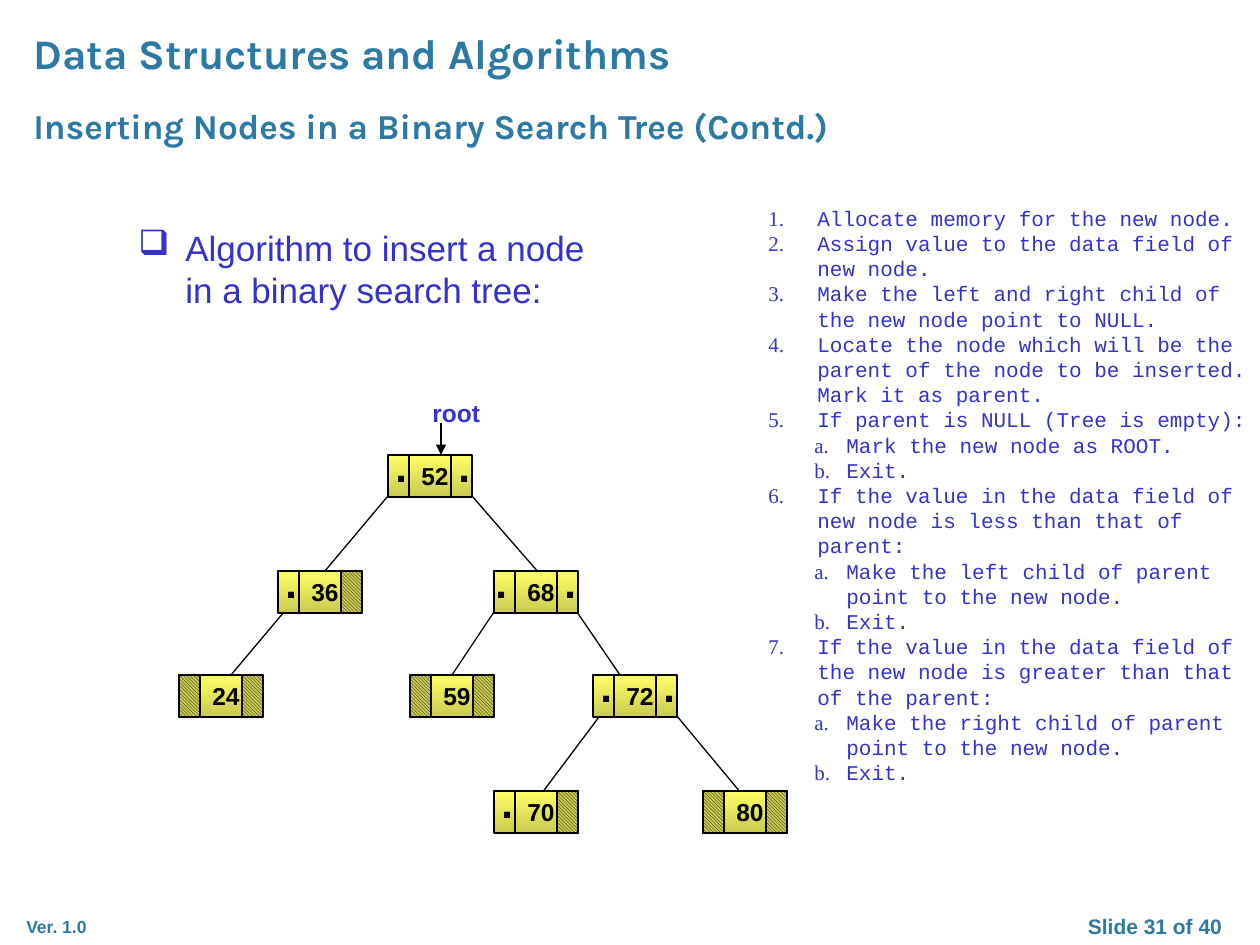
from dataclasses import dataclass
from typing import NamedTuple

from lxml.etree import SubElement
from pptx import Presentation
from pptx.dml.color import RGBColor
from pptx.enum.dml import MSO_PATTERN_TYPE
from pptx.enum.shapes import MSO_CONNECTOR, MSO_SHAPE
from pptx.enum.text import PP_ALIGN
from pptx.oxml.ns import qn
from pptx.util import Emu, Pt

EMU_PER_PIXEL = 914400 / 126


def px(length: float) -> Emu:
    return Emu(round(length * EMU_PER_PIXEL))


@dataclass(frozen=True)
class Theme:
    heading: RGBColor = RGBColor(0x2C, 0x79, 0xA4)
    body: RGBColor = RGBColor(0x33, 0x33, 0xCC)
    ink: RGBColor = RGBColor(0, 0, 0)
    node_top: RGBColor = RGBColor(0xFF, 0xFF, 0x66)
    node_bottom: RGBColor = RGBColor(0xCA, 0xCA, 0x51)
    sans: str = "Arial"
    title_font: str = "Karla"
    code: str = "Courier New"
    number: str = "Times New Roman"
    title_size: int = 24
    subtitle_size: int = 20
    node_size: int = 14
    step_size: int = 12
    version_size: int = 10
    line_width: float = 0.75


THEME = Theme()


class Box(NamedTuple):
    left: int
    top: int
    width: int
    height: int


class Label(NamedTuple):
    text: str
    box: Box
    size: int
    color: RGBColor
    font: str = THEME.sans
    bold: bool = True
    wrap: bool = True
    align: PP_ALIGN = PP_ALIGN.LEFT


class Node(NamedTuple):
    value: str
    left: int
    top: int
    has_left: bool = False
    has_right: bool = False
    left_dot: int = -5


class Line(NamedTuple):
    x1: int
    y1: int
    x2: int
    y2: int


class Step(NamedTuple):
    mark: str
    text: str


NODE_WIDTH, NODE_HEIGHT, POINTER_WIDTH = 84, 42, 21

LABELS = [
    Label("Slide 31 of 40", Box(1050, 907, 210, 38), 12, THEME.heading, align=PP_ALIGN.CENTER),
    Label("Data Structures and Algorithms", Box(21, 21, 1050, 64),
          THEME.title_size, THEME.heading, THEME.title_font),
    Label("Ver. 1.0", Box(14, 910, 100, 34), THEME.version_size, THEME.heading),
    Label("Inserting Nodes in a Binary Search Tree (Contd.)", Box(21, 98, 945, 54),
          THEME.subtitle_size, THEME.heading, THEME.title_font),
    Label("root", Box(420, 392, 105, 42), THEME.node_size, THEME.body),
]
INTRODUCTION = Label("Algorithm to insert a node in a binary search tree:",
                     Box(126, 220, 493, 179), THEME.subtitle_size, THEME.body, bold=False)
STEPS = [
    Step("1.", "Allocate memory for the new node."),
    Step("2.", "Assign value to the data field of new node."),
    Step("3.", "Make the left and right child of the new node point to NULL."),
    Step("4.", "Locate the node which will be the parent of the node to be inserted. "
               "Mark it as parent."),
    Step("5.", "If parent is NULL (Tree is empty):"),
    Step("a.", "Mark the new node as ROOT."),
    Step("b.", "Exit."),
    Step("6.", "If the value in the data field of new node is less than that of parent:"),
    Step("a.", "Make the left child of parent point to the new node."),
    Step("b.", "Exit."),
    Step("7.", "If the value in the data field of the new node is greater than that of the parent:"),
    Step("a.", "Make the right child of parent point to the new node."),
    Step("b.", "Exit."),
]
NODES = [
    Node("52", 388, 455, True, True),
    Node("36", 278, 571, True),
    Node("68", 494, 571, True, True, left_dot=-11),
    Node("24", 179, 675),
    Node("59", 410, 675),
    Node("72", 593, 675, True, True),
    Node("70", 494, 791, True),
    Node("80", 703, 791),
]
EDGES = [
    Line(388, 496, 325, 571), Line(472, 496, 546, 581),
    Line(284, 612, 231, 675), Line(494, 612, 452, 675), Line(577, 612, 620, 675),
    Line(599, 717, 536, 801), Line(651, 685, 766, 823),
]


def add_line(slide, line: Line, arrow: bool = False) -> None:
    connector = slide.shapes.add_connector(MSO_CONNECTOR.STRAIGHT, *map(px, line))
    connector.line.color.rgb = THEME.ink
    connector.line.width = Pt(THEME.line_width)
    properties = connector._element.spPr
    SubElement(properties, qn("a:effectLst"))
    if arrow:
        SubElement(properties.find(qn("a:ln")), qn("a:tailEnd"), type="triangle")


def add_text_box(slide, box: Box, wrap: bool = True):
    frame = slide.shapes.add_textbox(*map(px, box)).text_frame
    frame.word_wrap = wrap
    return frame


def add_label(slide, label: Label):
    paragraph = add_text_box(slide, label.box, label.wrap).paragraphs[0]
    paragraph.text = label.text
    paragraph.alignment = label.align
    paragraph.font.name = label.font
    paragraph.font.size = Pt(label.size)
    paragraph.font.bold = label.bold
    paragraph.font.color.rgb = label.color
    return paragraph


def set_indent(paragraph, left: int, hanging: int):
    properties = paragraph._p.get_or_add_pPr()
    properties.set("marL", str(px(left)))
    properties.set("indent", str(-px(hanging)))
    return properties


def add_rectangle(slide, box: Box):
    shape = slide.shapes.add_shape(MSO_SHAPE.RECTANGLE, *map(px, box))
    shape.shadow.inherit = False
    shape.line.color.rgb = THEME.ink
    shape.line.width = Pt(THEME.line_width)
    return shape


def add_pointer(slide, node: Node, left: int, linked: bool, dot_left: int) -> None:
    if linked:
        box = Box(node.left + dot_left, node.top - 21, 37, 63)
        add_label(slide, Label(".", box, THEME.title_size, THEME.ink, wrap=False))
        return
    fill = add_rectangle(slide, Box(left, node.top, POINTER_WIDTH, NODE_HEIGHT)).fill
    fill.patterned()
    fill.pattern = MSO_PATTERN_TYPE.DARK_DOWNWARD_DIAGONAL
    fill.fore_color.rgb = THEME.ink
    fill.back_color.rgb = THEME.node_bottom


def add_node(slide, node: Node) -> None:
    fill = add_rectangle(slide, Box(node.left, node.top, NODE_WIDTH, NODE_HEIGHT)).fill
    fill.gradient()
    fill.gradient_angle = 270
    for stop, color in zip(fill.gradient_stops, (THEME.node_top, THEME.node_bottom)):
        stop.color.rgb = color
    value_left = node.left + POINTER_WIDTH
    value_right = node.left + NODE_WIDTH - POINTER_WIDTH
    for x in (value_left, value_right):
        add_line(slide, Line(x, node.top, x, node.top + NODE_HEIGHT))
    add_pointer(slide, node, node.left, node.has_left, node.left_dot)
    add_pointer(slide, node, value_right, node.has_right, 58)
    add_label(slide, Label(node.value, Box(value_left, node.top, 53, NODE_HEIGHT),
                           THEME.node_size, THEME.ink, wrap=False))


def add_steps(slide, steps: list[Step]) -> None:
    frame = add_text_box(slide, Box(756, 199, 504, 624))
    for index, step in enumerate(steps):
        paragraph = frame.add_paragraph() if index else frame.paragraphs[0]
        if step.mark[0].isalpha():
            paragraph.level = 1
            set_indent(paragraph, 78, 32)
        else:
            set_indent(paragraph, 49, 49)
        paragraph.font.size = Pt(THEME.step_size)
        paragraph.font.color.rgb = THEME.body
        for text, font in ((step.mark, THEME.number), ("\t" + step.text, THEME.code)):
            run = paragraph.add_run()
            run.text = text
            run.font.name = font


presentation = Presentation()
presentation.slide_width, presentation.slide_height = px(1260), px(945)
slide = presentation.slides.add_slide(presentation.slide_layouts[6])

# Headings and footer
for label in LABELS:
    add_label(slide, label)

# Introduction with its bullet
introduction = add_label(slide, INTRODUCTION)
bullet_properties = set_indent(introduction, 47, 47)
bullet = SubElement(bullet_properties, qn("a:buChar"), char="\u2751")
bullet_properties.find(qn("a:defRPr")).addprevious(bullet)

# Algorithm steps
add_steps(slide, STEPS)

# Binary search tree
for edge in EDGES:
    add_line(slide, edge)
for node in NODES:
    add_node(slide, node)
add_line(slide, Line(441, 423, 441, 455), arrow=True)

presentation.save("out.pptx")
